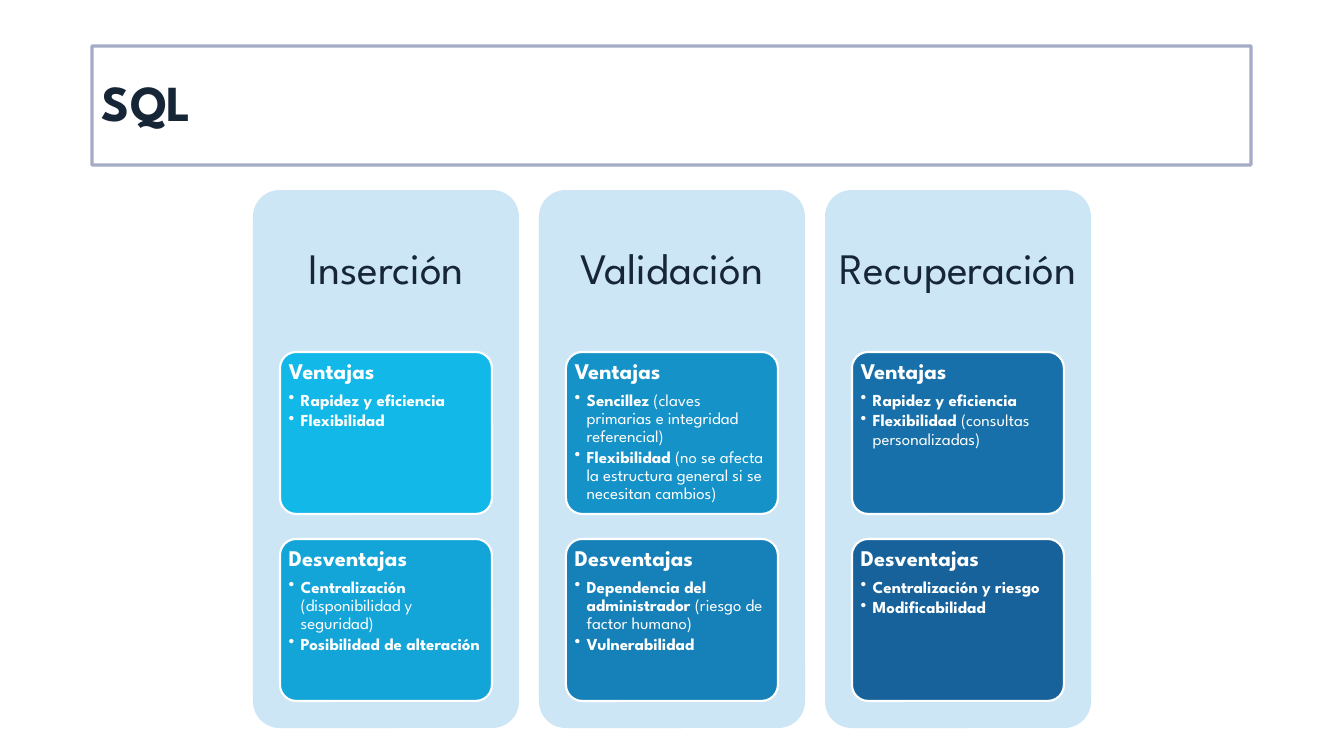
from lxml import etree
from pptx import Presentation
from pptx.dml.color import RGBColor
from pptx.enum.shapes import MSO_SHAPE
from pptx.enum.text import MSO_ANCHOR, MSO_AUTO_SIZE, PP_ALIGN
from pptx.oxml.ns import qn
from pptx.util import Emu, Pt

ROUNDED = MSO_SHAPE.ROUNDED_RECTANGLE
TOP, MIDDLE = MSO_ANCHOR.TOP, MSO_ANCHOR.MIDDLE
LEFT, CENTER = PP_ALIGN.LEFT, PP_ALIGN.CENTER
NO_AUTOFIT = MSO_AUTO_SIZE.NONE
PX_PER_INCH = 100.8
FONT = "League Spartan"
TITLE_ONLY = 5
COLORS = {"white": "FFFFFF", "ink": "172637", "frame": "061E60", "column": "CCE6F6"}
COLUMN_BOX = (253, 190, 266, 538)
COLUMN_PITCH = 286
CARD_PITCH = 187

COLUMNS = [
    ("Inserción", [
        ("Ventajas", "12B9E8", [("Rapidez y eficiencia", ""), ("Flexibilidad", "")]),
        ("Desventajas", "14A5D8", [
            ("Centralización", " (disponibilidad y seguridad)"),
            ("Posibilidad de alteración", "")]),
    ]),
    ("Validación", [
        ("Ventajas", "1592C8", [
            ("Sencillez", " (claves primarias e integridad referencial)"),
            ("Flexibilidad", " (no se afecta la estructura general si se necesitan cambios)")]),
        ("Desventajas", "1680B8", [
            ("Dependencia del administrador", " (riesgo de factor humano)"),
            ("Vulnerabilidad", "")]),
    ]),
    ("Recuperación", [
        ("Ventajas", "1770A9", [
            ("Rapidez y eficiencia", ""),
            ("Flexibilidad", " (consultas personalizadas)")]),
        ("Desventajas", "17629A", [("Centralización y riesgo", ""), ("Modificabilidad", "")]),
    ]),
]


def px(length):
    """Turn a length in px into EMU."""
    return Emu(round(length * 914400 / PX_PER_INCH))


def rgb(color):
    """Turn a hex string into a colour."""
    return RGBColor.from_string(color)


def set_alpha(color_format_parent, percent):
    """Make the solid fill found below an element partly transparent."""
    color = color_format_parent.find(qn("a:solidFill")).find(qn("a:srgbClr"))
    etree.SubElement(color, qn("a:alpha"), val=str(percent * 1000))


def set_frame(frame, *, inset_x, inset_y, anchor):
    """Set the wrapping, insets and anchor of a text frame."""
    frame.word_wrap = True
    frame.auto_size = NO_AUTOFIT
    frame.vertical_anchor = anchor
    frame.margin_left = frame.margin_right = px(inset_x)
    frame.margin_top = frame.margin_bottom = px(inset_y)


def set_paragraph(paragraph, *, align=LEFT, after=0, bullet=False):
    """Set the alignment, spacing and bullet of a paragraph."""
    if bullet:
        paragraph.level = 1
        properties = paragraph._p.get_or_add_pPr()
        properties.set("marL", str(px(12)))
        properties.set("indent", str(-px(12)))
        etree.SubElement(properties, qn("a:buChar"), char="•")
    paragraph.alignment = align
    paragraph.line_spacing = 0.9
    paragraph.space_after = Pt(after)


def add_run(paragraph, text, *, size, color="white", bold=False):
    """Add formatted text to a paragraph."""
    run = paragraph.add_run()
    run.text = text
    run.font.name = FONT
    run.font.size = Pt(size)
    run.font.bold = bold
    run.font.color.rgb = rgb(COLORS[color])


def add_panel(slide, box, fill):
    """Add a rounded panel without line or shadow."""
    shape = slide.shapes.add_shape(ROUNDED, *map(px, box))
    shape.adjustments[0] = 0.1
    shape.shadow.inherit = False
    shape.fill.solid()
    shape.fill.fore_color.rgb = rgb(fill)
    shape.line.fill.background()
    return shape


def add_title(slide, box, text):
    """Place the framed slide title."""
    title = slide.shapes.title
    title.left, title.top, title.width, title.height = map(px, box)
    title.fill.solid()
    title.fill.fore_color.rgb = rgb(COLORS["white"])
    set_alpha(title._element.spPr, 68)
    title.line.width = Pt(2.25)
    title.line.color.rgb = rgb(COLORS["frame"])
    set_alpha(title._element.spPr.find(qn("a:ln")), 36)
    set_frame(title.text_frame, inset_x=10, inset_y=5, anchor=MIDDLE)
    paragraph = title.text_frame.paragraphs[0]
    set_paragraph(paragraph)
    add_run(paragraph, text, size=36, color="ink", bold=True)


def add_card(slide, box, heading, fill, points):
    """Add a card with a heading and bulleted points."""
    card = add_panel(slide, box, fill)
    card.line.color.rgb = rgb(COLORS["white"])
    card.line.width = Pt(1.5)
    frame = card.text_frame
    set_frame(frame, inset_x=4, inset_y=3, anchor=TOP)
    paragraph = frame.paragraphs[0]
    set_paragraph(paragraph, after=5.6)
    add_run(paragraph, heading, size=16, bold=True)
    for term, detail in points:
        paragraph = frame.add_paragraph()
        set_paragraph(paragraph, after=1.8, bullet=True)
        add_run(paragraph, term, size=12, bold=True)
        if detail:
            add_run(paragraph, detail, size=12)


def add_column(slide, box, name, cards):
    """Add a column with its name above a stack of cards."""
    left, top, width, height = box
    add_panel(slide, box, COLORS["column"])
    header = slide.shapes.add_textbox(*map(px, (left, top, width, 161)))
    set_frame(header.text_frame, inset_x=13, inset_y=13, anchor=MIDDLE)
    paragraph = header.text_frame.paragraphs[0]
    set_paragraph(paragraph, align=CENTER)
    add_run(paragraph, name, size=31, color="ink")
    for index, card in enumerate(cards):
        card_box = (left + 27, top + 162 + index * CARD_PITCH, width - 54, 162)
        add_card(slide, card_box, *card)


def main():
    """Build and save the presentation."""
    presentation = Presentation()
    presentation.slide_width, presentation.slide_height = px(1344), px(756)
    slide = presentation.slides.add_slide(presentation.slide_layouts[TITLE_ONLY])
    add_title(slide, (92, 46, 1159, 119), "SQL")
    left, top, width, height = COLUMN_BOX
    for index, (name, cards) in enumerate(COLUMNS):
        add_column(slide, (left + index * COLUMN_PITCH, top, width, height), name, cards)
    presentation.save("out.pptx")


if __name__ == "__main__":
    main()
